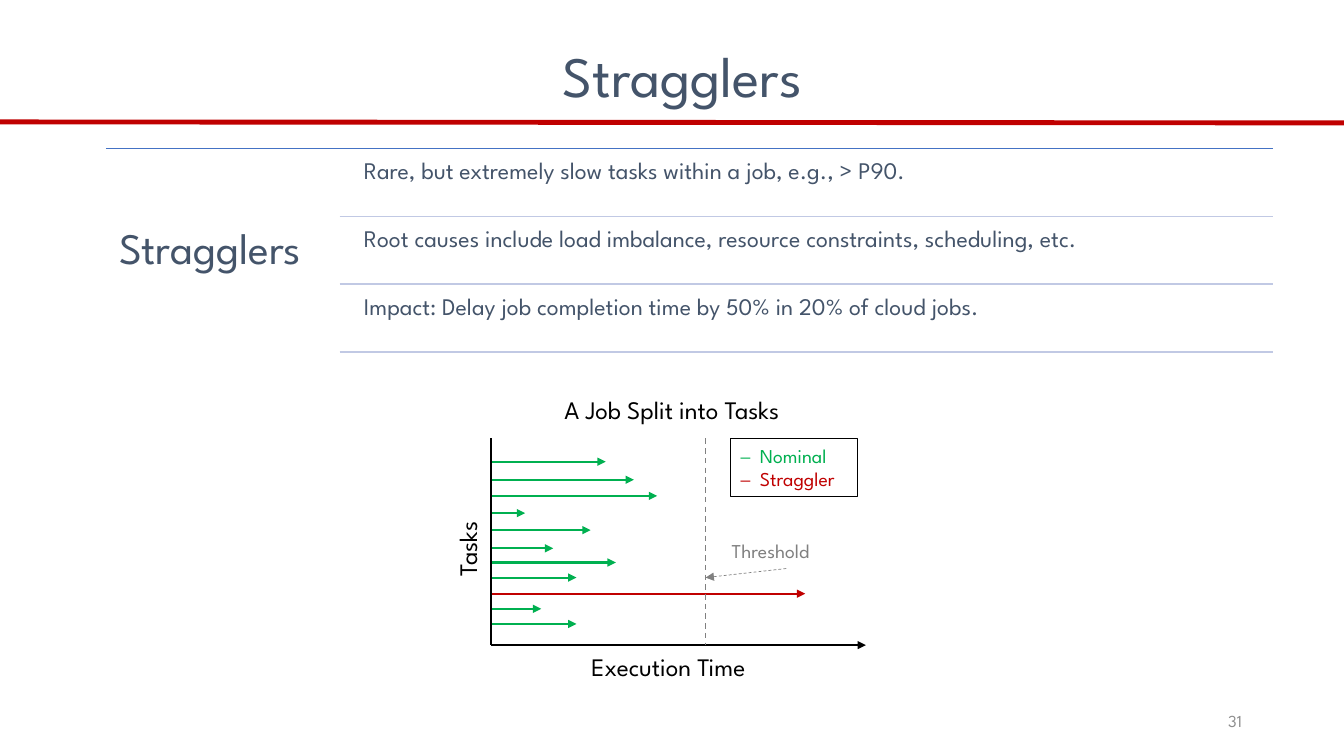
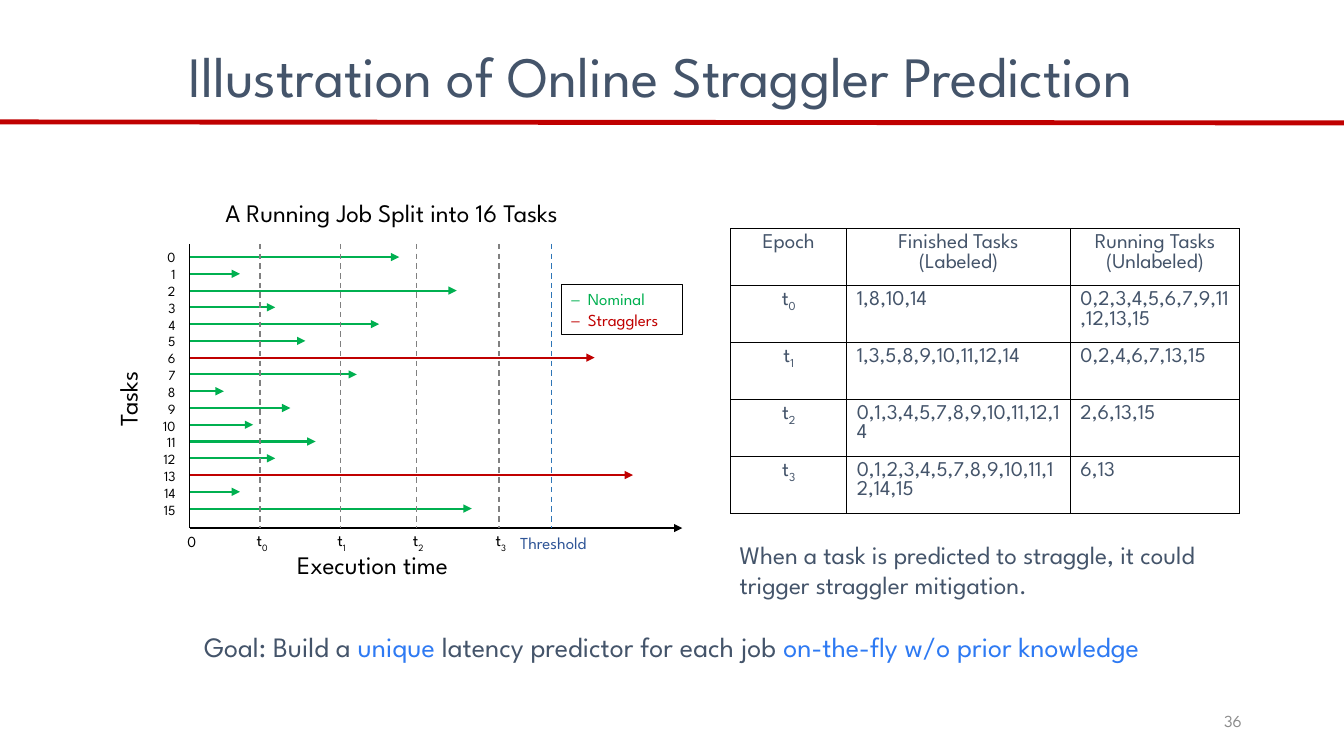
import dataclasses

import lxml.etree
import pptx
import pptx.dml.color
import pptx.enum.dml
import pptx.enum.shapes
import pptx.enum.text
import pptx.oxml.ns
import pptx.util

Pt = pptx.util.Pt
qn = pptx.oxml.ns.qn
Align = pptx.enum.text.PP_ALIGN
Anchor = pptx.enum.text.MSO_ANCHOR


@dataclasses.dataclass(frozen=True)
class Theme:
    font: str = "League Spartan"
    ink: str = "44546A"
    black: str = "000000"
    red: str = "C00000"
    green: str = "00B050"
    grey: str = "808080"
    number: str = "8C8C8C"
    rule: str = "4472C4"
    pale_rule: str = "C1C9E4"
    accent: str = "2E7AF3"
    threshold_line: str = "2E75B6"
    threshold_text: str = "2F5597"
    title: float = 40.7
    topic: float = 31
    goal: float = 20
    label: float = 18
    point: float = 17
    cell: float = 15
    legend: float = 14
    small: float = 12
    zero: float = 11
    tick: float = 10


@dataclasses.dataclass(frozen=True)
class Box:
    left: float
    top: float
    width: float
    height: float

    @property
    def right(self):
        return self.left + self.width

    @property
    def bottom(self):
        return self.top + self.height

    def inner(self, left, top, width, height):
        """A box placed relative to this one's top left corner."""
        return Box(self.left + left, self.top + top, width, height)

    def lengths(self):
        return [Pt(value) for value in (self.left, self.top, self.width, self.height)]


THEME = Theme()


def colour(code):
    return pptx.dml.color.RGBColor.from_string(code)


# Text
def add_spans(para, spans, size):
    """Each span is (text, colour) or (text, colour, is_subscript)."""
    for text, code, *subscript in spans:
        span = para.add_run()
        span.text = text
        span.font.name = THEME.font
        span.font.size = Pt(size)
        span.font.bold = False
        span.font.color.rgb = colour(code)
        if any(subscript):
            span._r.get_or_add_rPr().set("baseline", "-25000")


def fill_frame(frame, paras, size, align=Align.LEFT, spacing=None):
    for index, spans in enumerate(paras):
        para = frame.add_paragraph() if index else frame.paragraphs[0]
        para.alignment = align
        if spacing:
            para.line_spacing = spacing
        add_spans(para, spans, size)


def set_frame(frame, anchor=Anchor.TOP, inset=None):
    frame.word_wrap = True
    frame.auto_size = pptx.enum.text.MSO_AUTO_SIZE.NONE
    frame.vertical_anchor = anchor
    if inset is not None:
        frame.margin_left = frame.margin_right = Pt(inset)
        frame.margin_top = frame.margin_bottom = Pt(inset)


def add_text(page, box, paras, size, align=Align.LEFT, spacing=None,
             anchor=Anchor.TOP, inset=None):
    shape = page.shapes.add_textbox(*box.lengths())
    set_frame(shape.text_frame, anchor, inset)
    fill_frame(shape.text_frame, paras, size, align, spacing)
    return shape


def epoch_name(index, code):
    return [("t", code), (str(index), code, True)]


# Lines
def add_line(page, start, end, code, width, arrow=False, dashed=False):
    line = page.shapes.add_connector(
        pptx.enum.shapes.MSO_CONNECTOR.STRAIGHT,
        *[Pt(value) for value in (*start, *end)])
    line.line.color.rgb = colour(code)
    line.line.width = Pt(width)
    if dashed:
        line.line.dash_style = pptx.enum.dml.MSO_LINE.DASH
    if arrow:
        lxml.etree.SubElement(line.line._get_or_add_ln(), qn("a:tailEnd"), type="triangle")
    lxml.etree.SubElement(line._element.spPr, qn("a:effectLst"))


# Slide frame: title, red rule, slide number
def add_page(deck, title, title_left, number):
    page = deck.slides.add_slide(deck.slide_layouts[5])
    add_line(page, (0, 87.1), (960, 87.8), THEME.red, 3.5)
    holder = page.shapes.title
    holder.left, holder.top, holder.width, holder.height = Box(title_left, 38.5, 828, 44).lengths()
    set_frame(holder.text_frame)
    fill_frame(holder.text_frame, [[(title, THEME.ink)]], THEME.title, Align.CENTER, 0.7)
    add_text(page, Box(678.2, 500.4, 216, 28.8), [[(number, THEME.number)]],
             THEME.small, Align.RIGHT, anchor=Anchor.MIDDLE)
    return page


# Topic on the left, ruled points on the right
def add_topic(page, box, topic, points):
    side = 167
    pitch = box.height / len(points)
    add_line(page, (box.left, box.top), (box.right, box.top), THEME.rule, 1)
    add_text(page, box.inner(0, 0, side, box.height), [[(topic, THEME.ink)]],
             THEME.topic, spacing=0.9, anchor=Anchor.MIDDLE, inset=9.4)
    for index, point in enumerate(points):
        slot = box.inner(side, index * pitch, box.width - side, pitch)
        add_text(page, slot.inner(12.4, 2.5, slot.width - 12.4, 46), [[(point, THEME.ink)]],
                 THEME.point, spacing=0.9, inset=5)
        add_line(page, (slot.left, slot.bottom), (slot.right, slot.bottom), THEME.pale_rule, 1)


# Job chart: axes, captions, one arrow a task
def add_job_chart(page, box, tasks, threshold, threshold_code,
                  caption, caption_box, side_box, foot, foot_box):
    """Tasks are (drop, length); those longer than the threshold straggle."""
    for drop, length in tasks:
        height = box.top + drop
        add_line(page, (box.left, height), (box.left + length, height),
                 THEME.red if length > threshold else THEME.green, 1.5, arrow=True)
    add_line(page, (box.left, box.top), (box.left, box.bottom), THEME.black, 1)
    add_line(page, (box.left, box.bottom), (box.right, box.bottom), THEME.black, 1, arrow=True)
    add_guide(page, box, threshold, threshold_code)
    side = add_text(page, side_box, [[("Tasks", THEME.black)]], THEME.label)
    side.rotation = 270
    add_text(page, foot_box, [[(foot, THEME.black)]], THEME.label)
    add_text(page, caption_box, [[(caption, THEME.black)]], THEME.label, Align.CENTER)


def add_guide(page, box, offset, code):
    across = box.left + offset
    add_line(page, (across, box.top), (across, box.bottom), code, 1, dashed=True)


def add_legend(page, box, entries, size):
    shape = page.shapes.add_shape(pptx.enum.shapes.MSO_SHAPE.RECTANGLE, *box.lengths())
    shape.shadow.inherit = False
    shape.fill.background()
    shape.line.color.rgb = colour(THEME.black)
    shape.line.width = Pt(0.5)
    set_frame(shape.text_frame)
    fill_frame(shape.text_frame, [[("⎯\t" + name, code)] for name, code in entries], size)
    # Hanging indent: the tab reaches the left margin
    indent = int(Pt(size * 0.98))
    for para in shape.text_frame.paragraphs:
        properties = para._p.get_or_add_pPr()
        properties.set("marL", str(indent))
        properties.set("indent", str(-indent))


# Table of epochs
def add_cell_borders(cell):
    properties = cell._tc.get_or_add_tcPr()
    for index, side in enumerate(("lnL", "lnR", "lnT", "lnB")):
        border = lxml.etree.Element(qn("a:" + side), w=str(int(Pt(1))))
        fill = lxml.etree.SubElement(border, qn("a:solidFill"))
        lxml.etree.SubElement(fill, qn("a:srgbClr"), val=THEME.black)
        properties.insert(index, border)


def add_epoch_table(page, box, widths, header, epochs):
    rows = [header] + [
        ([epoch_name(index, THEME.ink)], *[[[(tasks, THEME.ink)]] for tasks in epoch])
        for index, epoch in enumerate(epochs)]
    table = page.shapes.add_table(len(rows), len(widths), *box.lengths()).table
    table.first_row = table.horz_banding = False
    for column, width in zip(table.columns, widths):
        column.width = Pt(width)
    for row_index, row in enumerate(rows):
        table.rows[row_index].height = Pt(box.height / len(rows))
        for column_index, paras in enumerate(row):
            cell = table.cell(row_index, column_index)
            cell.fill.background()
            add_cell_borders(cell)
            centred = row_index == 0 or column_index == 0
            fill_frame(cell.text_frame, paras, THEME.cell,
                       Align.CENTER if centred else Align.LEFT)


def build_stragglers(deck):
    page = add_page(deck, "Stragglers", 73.4, "31")
    add_topic(page, Box(75.6, 106, 833.8, 145.5), "Stragglers", [
        "Rare, but extremely slow tasks within a job, e.g., > P90.",
        "Root causes include load imbalance, resource constraints, scheduling, etc.",
        "Impact: Delay job completion time by 50% in 20% of cloud jobs.",
    ])
    box = Box(350.6, 313.2, 267.9, 147.6)
    threshold = 153.4
    tasks = [(16.6, 82.1), (29.5, 102.2), (41, 118.8), (53.3, 24.5), (65.5, 71.3),
             (78.5, 44.6), (88.6, 89.3), (99.4, 61.2), (110.9, 224.6), (121.7, 36),
             (132.5, 61.2)]
    add_job_chart(page, box, tasks, threshold, THEME.grey,
                  "A Job Split into Tasks", box.inner(2.2, -35.3, 254.2, 28.8),
                  box.inner(-56.9, 51.1, 80, 28.8),
                  "Execution Time", box.inner(64.8, 148.3, 154.8, 28.8))
    add_legend(page, box.inner(171.4, 0, 90.7, 41.2),
               [("Nominal", THEME.green), ("Straggler", THEME.red)], THEME.legend)
    # Threshold pointer
    add_text(page, box.inner(165, 68.4, 90.7, 24.5), [[("Threshold", THEME.grey)]], THEME.legend)
    add_line(page, (box.left + 211, box.top + 92.9), (box.left + threshold, box.top + 99.4),
             THEME.grey, 0.5, arrow=True, dashed=True)


def build_prediction(deck):
    page = add_page(deck, "Illustration of Online Straggler Prediction", 57.6, "36")
    header = ([[("Epoch", THEME.ink)]],
              [[("Finished Tasks", THEME.ink)], [("(Labeled)", THEME.ink)]],
              [[("Running Tasks", THEME.ink)], [("(Unlabeled)", THEME.ink)]])
    add_epoch_table(page, Box(522, 163.4, 363.6, 203.5), (82.8, 159.8, 121), header, [
        ("1,8,10,14", "0,2,3,4,5,6,7,9,11,12,13,15"),
        ("1,3,5,8,9,10,11,12,14", "0,2,4,6,7,13,15"),
        ("0,1,3,4,5,7,8,9,10,11,12,14", "2,6,13,15"),
        ("0,1,2,3,4,5,7,8,9,10,11,12,14,15", "6,13"),
    ])
    # Chart with evenly spaced tasks
    box = Box(135.4, 174.2, 352, 203)
    lengths = [149.8, 36, 190.8, 61.2, 135.4, 82.8, 289.4, 119.5,
               24.5, 72, 45.4, 90, 61.2, 316.8, 36, 201.6]
    tasks = [(9.4 + 11.98 * index, length) for index, length in enumerate(lengths)]
    add_job_chart(page, box, tasks, 258.5, THEME.threshold_line,
                  "A Running Job Split into 16 Tasks", box.inner(-8.6, -36.7, 306, 28.8),
                  box.inner(-84.2, 82.8, 80, 28.8),
                  "Execution time", box.inner(69.8, 214.5, 151.2, 28.8))
    add_legend(page, box.inner(265.7, 28.8, 86.4, 36),
               [("Nominal", THEME.green), ("Stragglers", THEME.red)], THEME.small)
    # Tick labels
    add_text(page, box.inner(-31.7, 0, 28.8, 200.9),
             [[(str(index), THEME.black)] for index in range(len(lengths))],
             THEME.tick, Align.RIGHT)
    add_text(page, box.inner(-8.6, 202.4, 28.8, 20.9), [[("0", THEME.black)]], THEME.zero)
    for index, offset in enumerate((50.4, 108, 162, 221)):
        add_guide(page, box, offset, THEME.grey)
        add_text(page, box.inner(offset - 9.5, 200.9, 28.8, 21.6),
                 [epoch_name(index, THEME.black)], THEME.small)
    add_text(page, box.inner(229, 203, 74.2, 21.6),
             [[("Threshold", THEME.threshold_text)]], THEME.small)
    # Remarks
    add_text(page, Box(521.3, 381.6, 365, 51.1), [[(
        "When a task is predicted to straggle, it could trigger straggler mitigation.",
        THEME.ink)]], THEME.label)
    add_text(page, Box(55.4, 448.6, 848.9, 33.8), [[
        ("Goal: Build a ", THEME.ink), ("unique ", THEME.accent),
        ("latency predictor for each job ", THEME.ink),
        ("on-the-fly w/o prior knowledge", THEME.accent),
    ]], THEME.goal, Align.CENTER, 0.9)


def main():
    deck = pptx.Presentation()
    deck.slide_width, deck.slide_height = Pt(960), Pt(540)
    build_stragglers(deck)
    build_prediction(deck)
    deck.save("out.pptx")


if __name__ == "__main__":
    main()
